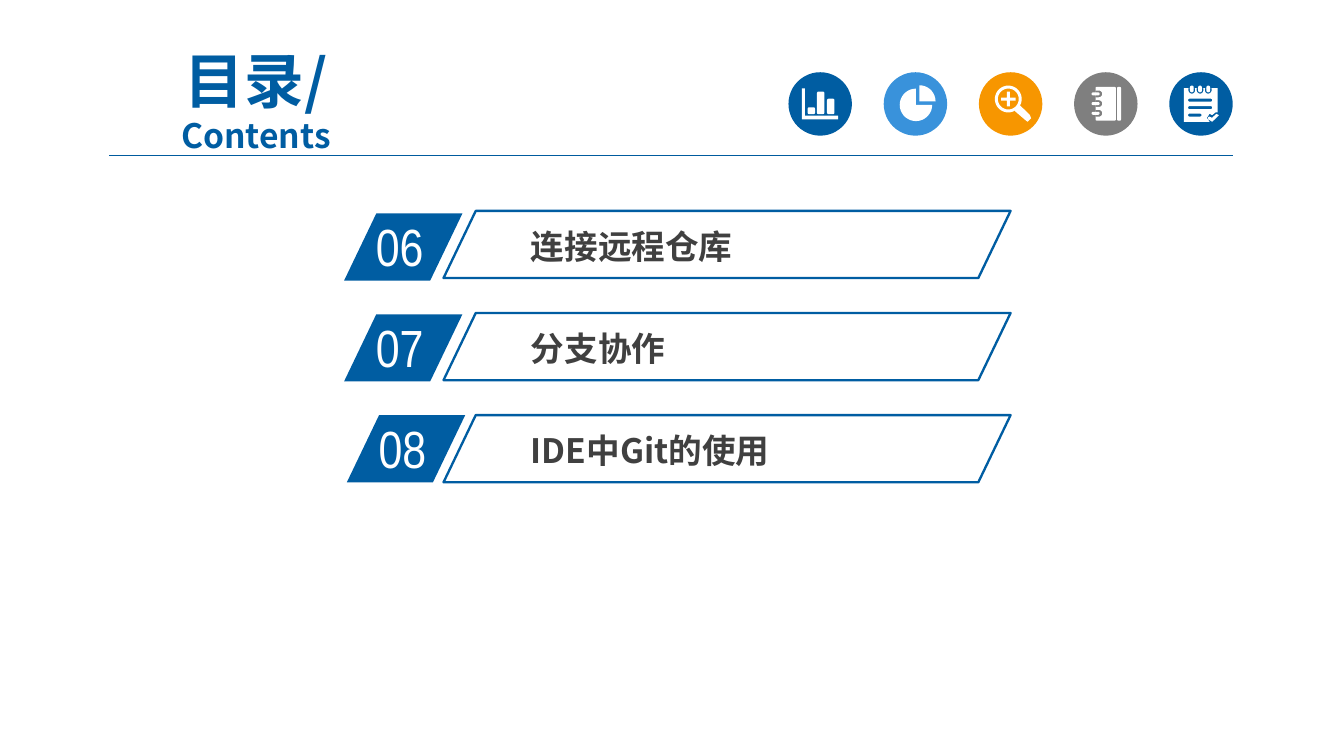
import math

import lxml.etree
import pptx
import pptx.dml.color
import pptx.enum.shapes
import pptx.enum.text
import pptx.oxml.ns
import pptx.util

Pt = pptx.util.Pt
RGBColor = pptx.dml.color.RGBColor
SHAPE = pptx.enum.shapes.MSO_SHAPE
AUTO_SIZE = pptx.enum.text.MSO_AUTO_SIZE

BLUE = RGBColor(0x00, 0x5D, 0xA2)
RULE_BLUE = RGBColor(0x00, 0x5B, 0x9E)
LIGHT_BLUE = RGBColor(0x39, 0x92, 0xDB)
ORANGE = RGBColor(0xF7, 0x96, 0x00)
GRAY = RGBColor(0x7F, 0x7F, 0x7F)
DARK_GRAY = RGBColor(0x40, 0x40, 0x40)
WHITE = RGBColor(0xFF, 0xFF, 0xFF)

CHINESE_FONT = "Noto Sans CJK SC"
NUMBER_FONT = "Arial Narrow"

# Number, topic and left edge of the number tile
TOPICS = [("06", "连接远程仓库", 184.3), ("07", "分支协作", 184.3),
          ("08", "IDE中Git的使用", 185.8)]
TILE_TOP, TILE_PITCH = 114.4, 54
FRAME_TOP, FRAME_PITCH = 113, 54.7
BADGE_LEFT, BADGE_TOP, BADGE_SIZE, BADGE_PITCH = 422.4, 38.7, 34, 51
UNITS_PER_POINT = 100


def format_runs(paragraph, font, size, color, bold=False):
    for run in paragraph.runs:
        run.font.name = font
        run.font.size = Pt(size)
        run.font.bold = bold
        run.font.color.rgb = color
        east_asian = lxml.etree.SubElement(
            run.font._element, pptx.oxml.ns.qn("a:ea"))
        east_asian.set("typeface", font)


def place(element, left, top, width, height):
    element.left, element.top = Pt(left), Pt(top)
    element.width, element.height = Pt(width), Pt(height)


def add_title(slide):
    title = slide.shapes.title
    place(title, 48.2, 33.8, 177.8, 38.9)
    frame = title.text_frame
    frame.text = "目录/\nContents"
    frame.auto_size = AUTO_SIZE.NONE
    frame.vertical_anchor = pptx.enum.text.MSO_ANCHOR.MIDDLE
    for paragraph, size in zip(frame.paragraphs, (32, 18)):
        paragraph.alignment = pptx.enum.text.PP_ALIGN.CENTER
        paragraph.space_before = Pt(0)
        format_runs(paragraph, CHINESE_FONT, size, BLUE, bold=True)


def add_rule(slide):
    rule = slide.shapes.add_connector(
        pptx.enum.shapes.MSO_CONNECTOR.STRAIGHT,
        Pt(58.4), Pt(83.4), Pt(660.4), Pt(83.4))
    rule.line.color.rgb = RULE_BLUE
    rule.line.width = Pt(0.75)
    lxml.etree.SubElement(
        rule._element.spPr, pptx.oxml.ns.qn("a:effectLst"))


def add_filled(slide, kind, left, top, width, height, color):
    shape = slide.shapes.add_shape(
        kind, Pt(left), Pt(top), Pt(width), Pt(height))
    shape.shadow.inherit = False
    shape.line.fill.background()
    shape.fill.solid()
    shape.fill.fore_color.rgb = color
    return shape


def add_frame(slide, left, top, width, height):
    frame = add_filled(
        slide, SHAPE.PARALLELOGRAM, left, top, width, height, WHITE)
    frame.fill.background()
    frame.line.color.rgb = BLUE
    frame.line.width = Pt(1.25)
    frame.adjustments[0] = 0.48


def add_text(slide, text, box, inset, font, size, color, bold=False):
    text_box = slide.shapes.add_textbox(*map(Pt, box))
    frame = text_box.text_frame
    frame.text = text
    frame.word_wrap = True
    frame.auto_size = AUTO_SIZE.SHAPE_TO_FIT_TEXT
    frame.margin_left = frame.margin_right = Pt(inset[0])
    frame.margin_top = frame.margin_bottom = Pt(inset[1])
    format_runs(frame.paragraphs[0], font, size, color, bold)


def add_topic(slide, index, number, topic, tile_left):
    tile_top = TILE_TOP + index * TILE_PITCH
    frame_top = FRAME_TOP + index * FRAME_PITCH
    tile = add_filled(
        slide, SHAPE.PARALLELOGRAM, tile_left, tile_top, 63.4, 36, BLUE)
    tile.adjustments[0] = 0.48
    add_text(slide, number, (tile_left + 10, tile_top - 2.9, 60.5, 41),
             (7.2, 3.6), NUMBER_FONT, 28, WHITE)
    add_text(slide, topic, (279.4, frame_top + 5.2, 222.5, 28.8),
             (5, 2.9), CHINESE_FONT, 18, DARK_GRAY, bold=True)
    add_frame(slide, 237.6, frame_top, 303.8, 36)


def arc(x, y, radius, start, end):
    """Points of an arc, clockwise, with angles in degrees from the right."""
    steps = max(4, round((end - start) / 10))
    angles = [math.radians(start + (end - start) * i / steps)
              for i in range(steps + 1)]
    return [(x + radius * math.cos(a), y + radius * math.sin(a))
            for a in angles]


def rounded(left, top, right, bottom, radius):
    corners = [(right - radius, bottom - radius), (left + radius, bottom - radius),
               (left + radius, top + radius), (right - radius, top + radius)]
    return [point for i, (x, y) in enumerate(corners)
            for point in arc(x, y, radius, 90 * i, 90 * i + 90)]


def bar_chart():
    axes = [(7.2, 8.6), (8.9, 8.6), (8.9, 23.2), (26.6, 23.2),
            (26.6, 25.2), (7.2, 25.2)]
    bars = [(10.3, 18.8), (15.3, 10.4), (20.7, 14.2)]
    return [axes] + [rounded(x, top, x + 4, 22.5, 0.9) for x, top in bars]


def pie():
    return [[(19.2, 15.6)] + arc(19.2, 15.6, 8.6, -90, 0),
            [(17.3, 17.5)] + arc(17.3, 17.5, 8.7, 0, 270)]


def magnifier():
    x, y, reach, half = 15.8, 14.4, 3.9, 0.8
    handle = [(19.4, 20.9), (25.2, 25.9), (26.2, 26.6), (28, 24.7),
              (27.4, 23), (22.3, 18)]
    arm = [(half, -reach), (half, -half), (reach, -half)]
    plus = []
    for _ in range(4):
        plus += [(x + dx, y + dy) for dx, dy in arm]
        arm = [(-dy, dx) for dx, dy in arm]
    return [arc(x, y, 7.2, 0, 360), arc(x, y, 5.6, 0, 360), plus, handle]


def notebook():
    outlines = [rounded(11.5, 7.9, 22.4, 25.9, 0.6),
                rounded(23.1, 7.9, 25.2, 25.9, 0.6)]
    for y in (11.6, 16.8, 22):
        notch = arc(13.3, y, 1.8, -90, 90)
        outlines.append([(11.5, y - 1.8)] + notch + [(11.5, y + 1.8)])
        outlines.append(rounded(9.4, y - 0.8, 13.7, y + 0.8, 0.8))
    return outlines


def notepad():
    page = [(7.9, 8.6), (25.9, 8.6), (25.9, 21.6), (24.8, 21.6), (23, 23),
            (21.6, 22.3), (20.2, 24.5), (21.6, 26.6), (7.9, 26.6)]
    check = [(25.9, 23.8), (23, 26.6), (20.9, 25.2), (20.9, 24.1),
             (21.6, 23.8), (23, 24.5), (25.2, 22.3), (26.6, 23)]
    outlines = [page, check]
    for y, right in ((15, 23), (19, 23), (23, 17.3)):
        outlines.append(rounded(10.1, y - 0.8, right, y + 0.8, 0.8))
    for x in (12.1, 16.5, 20.9):
        slot = arc(x, 9.7, 1.8, 0, 180)
        outlines.append([(x + 1.8, 8.6)] + slot + [(x - 1.8, 8.6)])
        outlines.append(rounded(x - 1, 7.2, x + 1, 10.8, 1))
    return outlines


def add_badge(slide, index, color, outlines):
    left = BADGE_LEFT + index * BADGE_PITCH
    add_filled(slide, SHAPE.OVAL, left, BADGE_TOP, BADGE_SIZE, BADGE_SIZE, color)
    scaled = [[(x * UNITS_PER_POINT, y * UNITS_PER_POINT) for x, y in outline]
              for outline in outlines]
    builder = slide.shapes.build_freeform(
        *scaled[0][0], scale=Pt(1) / UNITS_PER_POINT)
    for i, outline in enumerate(scaled):
        if i:
            builder.move_to(*outline[0])
        builder.add_line_segments(outline[1:], close=True)
    icon = builder.convert_to_shape(Pt(left), Pt(BADGE_TOP))
    icon.shadow.inherit = False
    icon.line.fill.background()
    icon.fill.solid()
    icon.fill.fore_color.rgb = WHITE


def main():
    presentation = pptx.Presentation()
    presentation.slide_width, presentation.slide_height = Pt(720), Pt(405)
    slide = presentation.slides.add_slide(presentation.slide_layouts[5])
    add_title(slide)
    add_rule(slide)
    for index, topic in enumerate(TOPICS):
        add_topic(slide, index, *topic)
    badges = [(BLUE, bar_chart()), (LIGHT_BLUE, pie()), (ORANGE, magnifier()),
              (GRAY, notebook()), (BLUE, notepad())]
    for index, badge in enumerate(badges):
        add_badge(slide, index, *badge)
    presentation.save("out.pptx")


if __name__ == "__main__":
    main()
